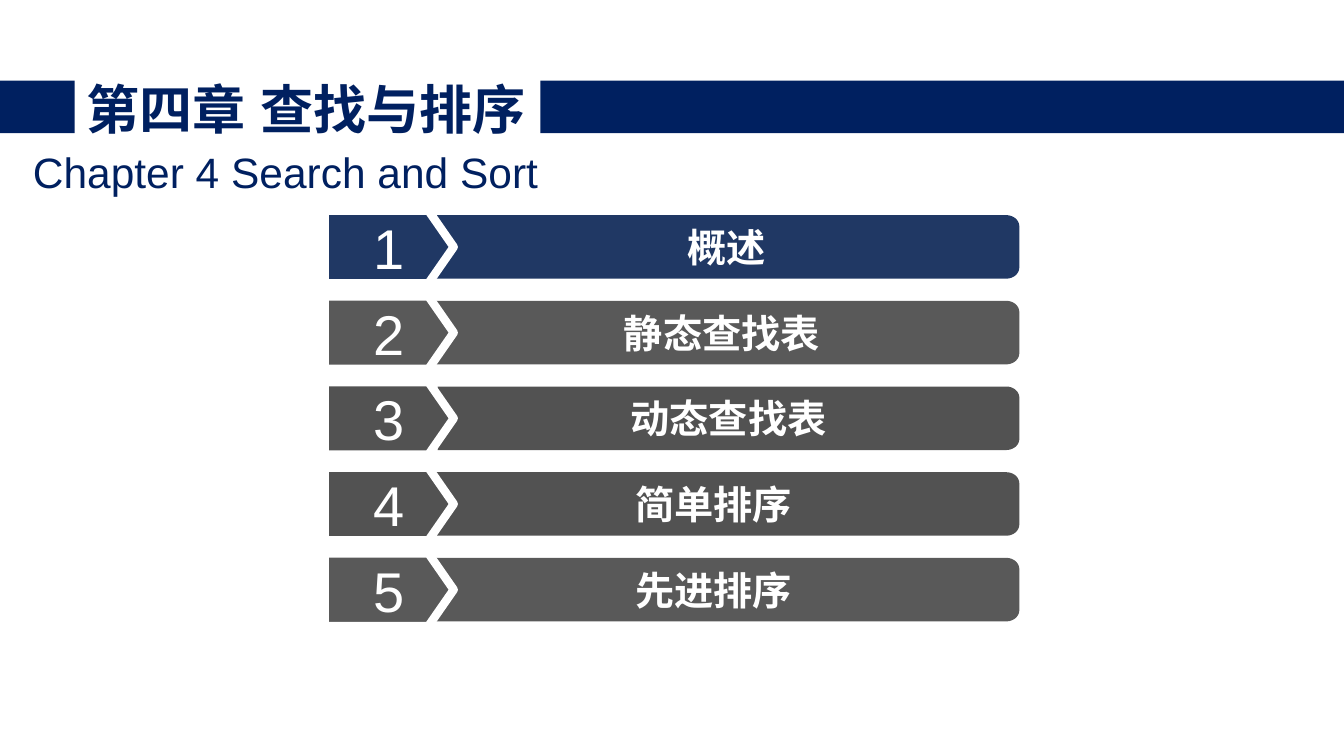
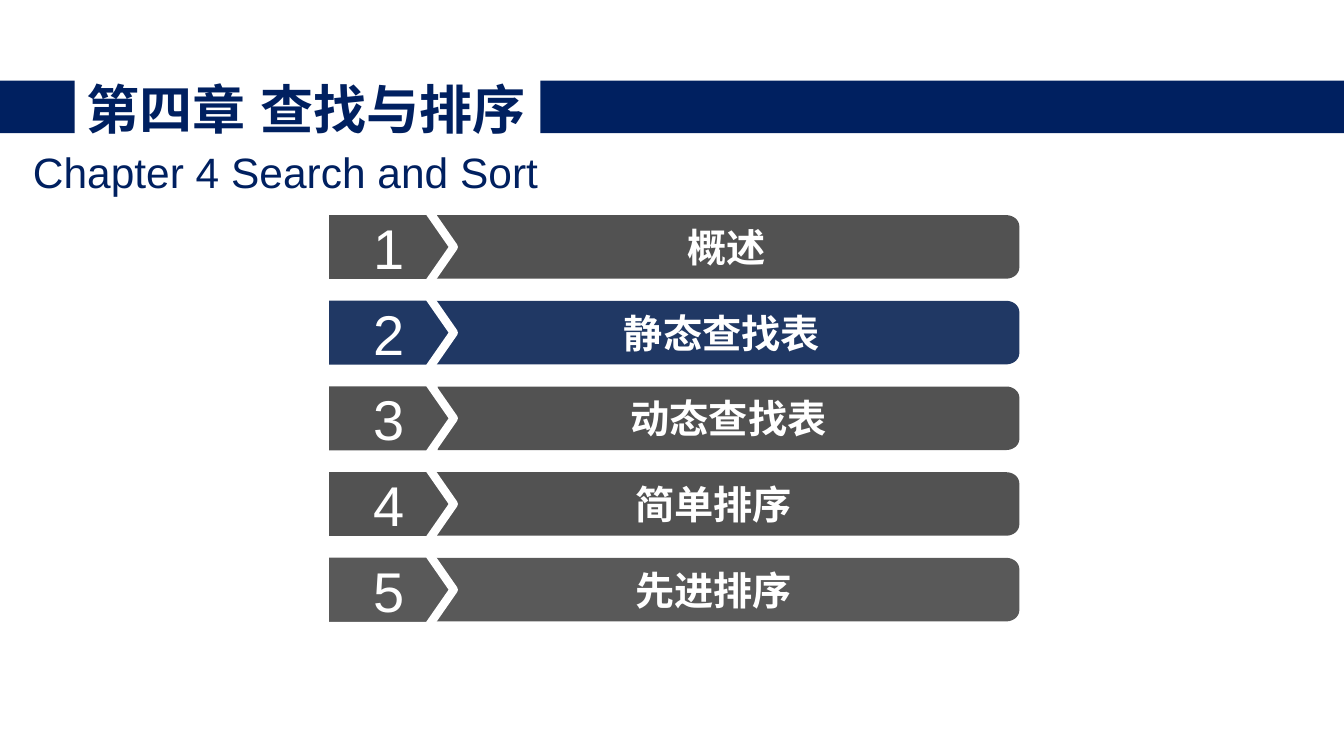
from math import cos, pi, sin

from pptx import Presentation
from pptx.dml.color import RGBColor
from pptx.enum.lang import MSO_LANGUAGE_ID as Language
from pptx.enum.shapes import MSO_SHAPE as Shape
from pptx.enum.text import MSO_ANCHOR as Anchor, PP_ALIGN as Align
from pptx.oxml.ns import qn
from pptx.util import Inches, Pt

# Content
TITLE = "第四章 查找与排序"
SUBTITLE = "Chapter 4 Search and Sort"
# label, bar left, left text inset, colour when not current
SECTIONS = [
    ("概述", 4.31, 0, "grey"),
    ("静态查找表", 4.05, 0.16, "light_grey"),
    ("动态查找表", 4.34, 0, "grey"),
    ("简单排序", 4.05, 0, "grey"),
    ("先进排序", 4.05, 0, "light_grey"),
]
CURRENT_SECTIONS = [1, 2]  # one slide for each

# Shared style
COLORS = {
    "navy": "002060",
    "current": "203864",
    "grey": "525252",
    "light_grey": "595959",
    "white": "FFFFFF",
}
FONT = "Arial"
BAND_TOP, BAND_HEIGHT = 0.8, 0.52
BANDS = [(0, 0.74), (5.36, 7.98)]  # left, width

# Section rows
FIRST_TOP, ROW_PITCH = 2.09, 0.85
TAG_LEFT, TAG_WIDTH, TAG_HEIGHT, TAG_POINT = 3.22, 1.28, 0.72, 0.25
BAR_RIGHT, BAR_HEIGHT = 10.11, 0.63
CORNER_WIDTH, CORNER_HEIGHT, CORNER_STEPS = 0.13, 0.11, 12


def color(name):
    return RGBColor.from_string(COLORS[name])


def paint(shape, fill):
    shape.shadow.inherit = False
    shape.fill.solid()
    shape.fill.fore_color.rgb = color(fill)
    shape.line.fill.background()


def write(shape, text, size, ink="white", bold=False, inset=0, anchor=Anchor.MIDDLE):
    frame = shape.text_frame
    frame.word_wrap = True
    frame.vertical_anchor = anchor
    frame.margin_left = Inches(inset)
    frame.margin_right = frame.margin_top = frame.margin_bottom = 0
    para = frame.paragraphs[0]
    para.alignment = Align.CENTER
    span = para.add_run()
    span.text = text
    font = span.font
    font.name, font.size, font.bold = FONT, Pt(size), bold
    font.color.rgb = color(ink)
    font.language_id = Language.SIMPLIFIED_CHINESE
    # East Asian glyphs use the same font setting
    latin = span._r.get_or_add_rPr().find(qn("a:latin"))
    east_asian = latin.makeelement(qn("a:ea"), {"typeface": FONT})
    latin.addnext(east_asian)


def add_header(page):
    for left, width in BANDS:
        band = page.shapes.add_shape(
            Shape.RECTANGLE, Inches(left), Inches(BAND_TOP), Inches(width), Inches(BAND_HEIGHT))
        paint(band, "navy")
    title = page.shapes.add_textbox(Inches(0.83), Inches(0.75), Inches(4.41), Inches(0.64))
    write(title, TITLE, 37.9, "navy", bold=True)
    subtitle = page.shapes.add_textbox(Inches(0.2), Inches(1.45), Inches(5.27), Inches(0.51))
    write(subtitle, SUBTITLE, 30.3, "navy", anchor=Anchor.TOP)


def add_bar(page, left, top):
    """Bar with rounded corners on its right side only."""
    angles = [pi / 2 * step / CORNER_STEPS for step in range(CORNER_STEPS + 1)]
    center_x = BAR_RIGHT - CORNER_WIDTH
    upper = [(center_x + CORNER_WIDTH * sin(a), top + CORNER_HEIGHT * (1 - cos(a)))
             for a in angles]
    lower = [(x, 2 * top + BAR_HEIGHT - y) for x, y in reversed(upper)]
    outline = upper + lower + [(left, top + BAR_HEIGHT)]
    builder = page.shapes.build_freeform(Inches(left), Inches(top))
    builder.add_line_segments([(Inches(x), Inches(y)) for x, y in outline], close=True)
    return builder.convert_to_shape()


def add_section(page, number, section, current):
    label, bar_left, inset, resting_color = section
    fill = "current" if number == current else resting_color
    top = FIRST_TOP + (number - 1) * ROW_PITCH

    bar = add_bar(page, bar_left, top + (TAG_HEIGHT - BAR_HEIGHT) / 2)
    paint(bar, fill)
    write(bar, label, 28, bold=True, inset=inset)

    tag = page.shapes.add_shape(
        Shape.PENTAGON, Inches(TAG_LEFT), Inches(top), Inches(TAG_WIDTH), Inches(TAG_HEIGHT))
    tag.adjustments[0] = TAG_POINT / TAG_HEIGHT
    paint(tag, fill)
    tag.line.color.rgb = color("white")
    tag.line.width = Pt(6)
    write(tag, str(number), 40, inset=0.12)


def main():
    deck = Presentation()
    deck.slide_width, deck.slide_height = Inches(13.33), Inches(7.5)
    for current in CURRENT_SECTIONS:
        page = deck.slides.add_slide(deck.slide_layouts[6])
        add_header(page)
        for number, section in enumerate(SECTIONS, 1):
            add_section(page, number, section, current)
    deck.save("out.pptx")


if __name__ == "__main__":
    main()
